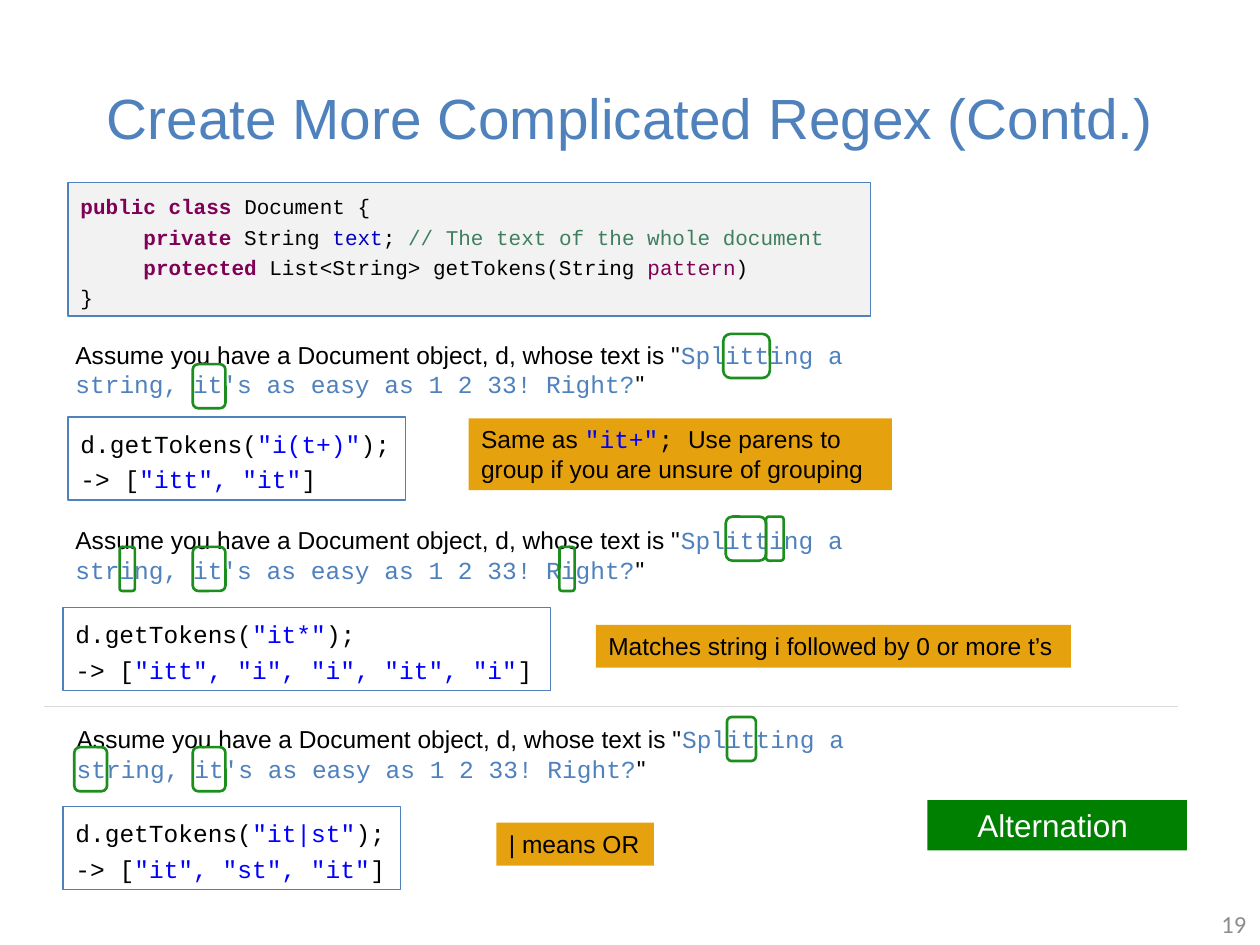
from lxml.etree import SubElement
from pptx import Presentation
from pptx.dml.color import RGBColor
from pptx.enum.shapes import MSO_CONNECTOR, MSO_SHAPE
from pptx.enum.text import MSO_ANCHOR, MSO_AUTO_SIZE, PP_ALIGN
from pptx.oxml.ns import qn
from pptx.util import Inches, Pt

theme = {
    "blue": "4F81BD", "grey": "F2F2F2", "rule": "D9D9D9", "ring": "1B8E1D",
    "gold": "E6A20E", "green": "008000",
    "title": ("Arial", 32.4, "4F81BD", False),
    "plain": ("Arial", 14, "000000", False),
    "quote": ("Courier New", 14, "4F81BD", False),
    "call": ("Courier New", 14, "000000", False),
    "string": ("Courier New", 14, "0000FF", False),
    "code": ("Courier New", 12, "000000", False),
    "key": ("Courier New", 12, "7F0055", True),
    "param": ("Courier New", 12, "7F0055", False),
    "field": ("Courier New", 12, "0000C0", False),
    "remark": ("Courier New", 12, "3F7F5F", False),
    "label": ("Arial", 18, "FFFFFF", False),
    "page": ("Calibri", 14, "8C8C8C", False),
}


def write(shape, lines, align=PP_ALIGN.LEFT, space=None, **form):
    frame = shape.text_frame
    frame_form = {"word_wrap": True, "auto_size": MSO_AUTO_SIZE.SHAPE_TO_FIT_TEXT,
                  "vertical_anchor": MSO_ANCHOR.TOP, **form}
    for name, value in frame_form.items():
        setattr(frame, name, value)
    for row, line in enumerate(lines):
        para = frame.add_paragraph() if row else frame.paragraphs[0]
        para.alignment = align
        para.line_spacing = space
        if line[0][0].startswith("\t"):
            tabs = SubElement(para._p.get_or_add_pPr(), qn("a:tabLst"))
            SubElement(tabs, qn("a:tab"), pos=str(Inches(0.5)), algn="l")
        for text, style in line:
            run = para.add_run()
            run.text = text
            face, size, tint, bold = theme[style]
            for name, value in {"name": face, "size": Pt(size), "bold": bold}.items():
                setattr(run.font, name, value)
            run.font.color.rgb = RGBColor.from_string(tint)


def draw(place, fill=None, line=None, width=0.75, kind=MSO_SHAPE.RECTANGLE):
    shape = slide.shapes.add_shape(kind, *map(Inches, place))
    shape.shadow.inherit = False
    for part, tint in ((shape.fill, fill), (shape.line.fill, line)):
        if tint:
            part.solid()
            part.fore_color.rgb = RGBColor.from_string(theme[tint])
        else:
            part.background()
    if line:
        shape.line.width = Pt(width)
    return shape


deck = Presentation()
deck.slide_width, deck.slide_height = Inches(10), Inches(7.5)
slide = deck.slides.add_slide(deck.slide_layouts[5])

title = slide.shapes.title
for name, value in {"left": 0.5, "top": 0.3, "width": 9, "height": 1.25}.items():
    setattr(title, name, Inches(value))
write(title, [[("Create More Complicated Regex (Contd.)", "title")]], PP_ALIGN.CENTER,
      auto_size=MSO_AUTO_SIZE.NONE, vertical_anchor=MSO_ANCHOR.MIDDLE)

write(draw((0.54, 1.45, 6.37, 1.06), "grey", "blue"), [
    [("public class ", "key"), ("Document {", "code")],
    [("\t", "code"), ("private", "key"), (" String ", "code"), ("text", "field"),
     ("; ", "code"), ("// The text of the whole document", "remark")],
    [("\t", "code"), ("protected", "key"), (" List<String> getTokens(String ", "code"),
     ("pattern", "param"), (")", "code")],
    [("}", "code")],
], space=1.2)

rule = slide.shapes.add_connector(
    MSO_CONNECTOR.STRAIGHT, *map(Inches, (0.35, 5.61, 9.35, 5.61)))
rule.line.color.rgb = RGBColor.from_string(theme["rule"])
rule.line.width = Pt(0.75)
SubElement(rule._element.spPr, qn("a:effectLst"))

cases = [
    {"prose": (0.5, 2.65), "box": (0.54, 3.31, 2.68),
     "regex": '"i(t+)"', "found": '"itt", "it"',
     "note": (3.72, 3.32, 3.36, 0.57),
     "words": [("Same as ", "plain"), ('"it+"', "string"), ("; ", "call"),
               ("Use parens to group if you are unsure of grouping", "plain")],
     "rings": [(5.74, 2.65, 0.37), (1.53, 2.89, 0.26)]},
    {"prose": (0.5, 4.12), "box": (0.5, 4.82, 3.87),
     "regex": '"it*"', "found": '"itt", "i", "i", "it", "i"',
     "note": (4.73, 4.96, 3.77, 0.34),
     "words": [("Matches string i followed by 0 or more t’s", "plain")],
     "rings": [(5.76, 4.1, 0.32), (6.08, 4.1, 0.14), (0.95, 4.34, 0.12),
               (1.53, 4.34, 0.26), (4.44, 4.34, 0.12)]},
    {"prose": (0.51, 5.7), "box": (0.5, 6.4, 2.68),
     "regex": '"it|st"', "found": '"it", "st", "it"',
     "note": (3.94, 6.53, 1.25, 0.34),
     "words": [("| means OR", "plain")],
     "rings": [(5.77, 5.69, 0.23), (1.53, 5.93, 0.26), (0.59, 5.93, 0.26)]},
]
for case in cases:
    prose = slide.shapes.add_textbox(*map(Inches, (*case["prose"], 6.99, 0.57)))
    write(prose, [[
        ('Assume you have a Document object, d, whose text is "', "plain"),
        ("Splitting a string, it's as easy as 1 2 33! Right?", "quote"),
        ('"', "plain")]])
    write(draw((*case["box"], 0.66), line="blue"), [
        [("d.getTokens(", "call"), (case["regex"], "string"), (");", "call")],
        [("-> [", "call"), (case["found"], "string"), ("]", "call")],
    ], space=1.2, word_wrap=False)
    write(draw(case["note"], "gold"), [case["words"]])
    for ring in case["rings"]:
        draw((*ring, 0.35), line="ring", width=1.5, kind=MSO_SHAPE.ROUNDED_RECTANGLE)

write(draw((7.36, 6.35, 2.06, 0.4), "green"),
      [[("Alternation ", "label")]], PP_ALIGN.CENTER)

page = slide.shapes.add_textbox(*map(Inches, (9.36, 7.13, 0.63, 0.4)))
write(page, [[("19", "page")]], PP_ALIGN.RIGHT,
      auto_size=MSO_AUTO_SIZE.NONE, vertical_anchor=MSO_ANCHOR.MIDDLE)

deck.save("out.pptx")
